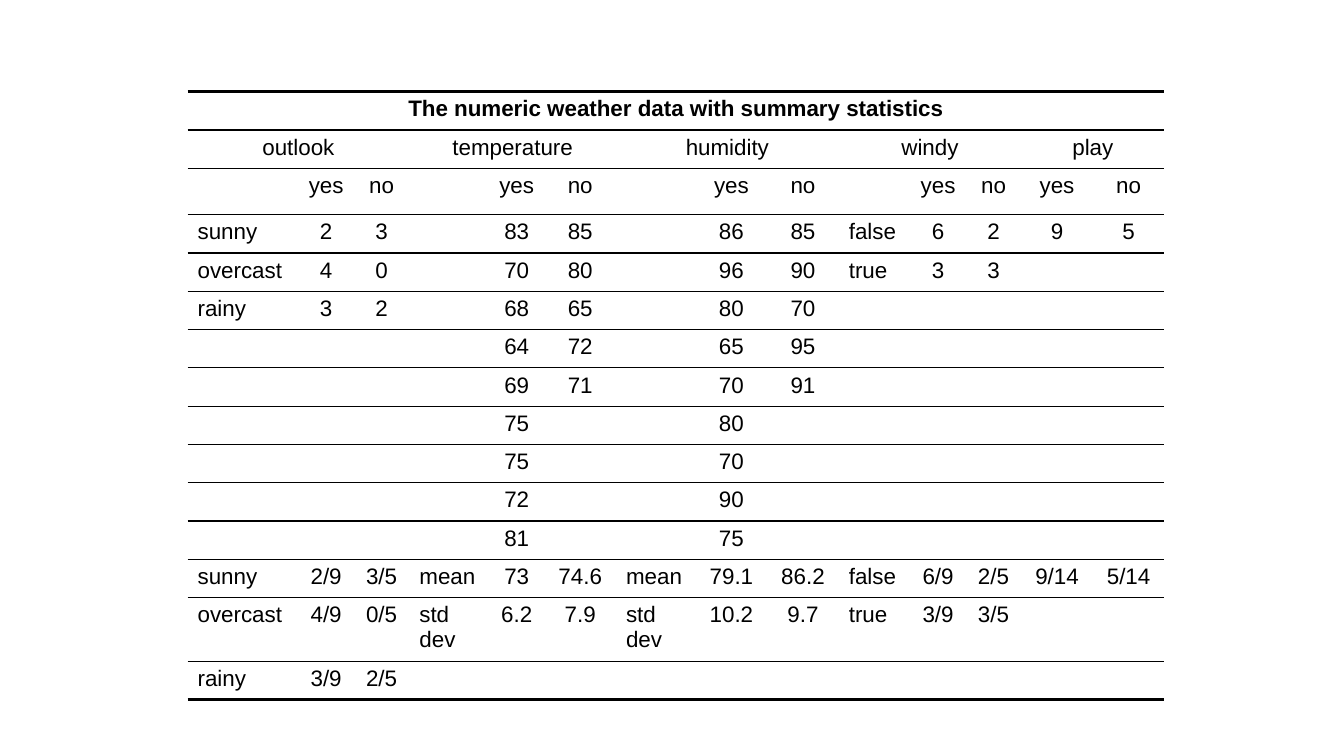
import pptx
import pptx.dml.color
import pptx.enum.text
import pptx.oxml.ns
import pptx.util
from lxml import etree

Inches = pptx.util.Inches
Pt = pptx.util.Pt
ALIGN = pptx.enum.text.PP_ALIGN
qn = pptx.oxml.ns.qn

BLACK = pptx.dml.color.RGBColor(0, 0, 0)
FONT_SIZE = Pt(16)
NO_STYLE_NO_GRID = "{2D5ABB26-0587-4C30-8999-92F81FD0307C}"

TITLE = "The numeric weather data with summary statistics"
ATTRIBUTES = [("outlook", 3), ("temperature", 3), ("humidity", 3), ("windy", 3), ("play", 2)]
ROWS = [
    ["", "yes", "no", "", "yes", "no", "", "yes", "no", "", "yes", "no", "yes", "no"],
    ["sunny", "2", "3", "", "83", "85", "", "86", "85", "false", "6", "2", "9", "5"],
    ["overcast", "4", "0", "", "70", "80", "", "96", "90", "true", "3", "3"],
    ["rainy", "3", "2", "", "68", "65", "", "80", "70"],
    ["", "", "", "", "64", "72", "", "65", "95"],
    ["", "", "", "", "69", "71", "", "70", "91"],
    ["", "", "", "", "75", "", "", "80"],
    ["", "", "", "", "75", "", "", "70"],
    ["", "", "", "", "72", "", "", "90"],
    ["", "", "", "", "81", "", "", "75"],
    ["sunny", "2/9", "3/5", "mean", "73", "74.6", "mean", "79.1", "86.2",
     "false", "6/9", "2/5", "9/14", "5/14"],
    ["overcast", "4/9", "0/5", "std dev", "6.2", "7.9", "std dev", "10.2", "9.7",
     "true", "3/9", "3/5"],
    ["rainy", "3/9", "2/5"],
]
LABEL_COLUMNS = (0, 3, 6, 9)
COLUMN_WIDTHS = [1.1, 0.55, 0.55, 0.79, 0.55, 0.71, 0.79, 0.71, 0.71, 0.71, 0.55, 0.55, 0.71, 0.71]
ROW_HEIGHTS = [0.38] * 2 + [0.46] + [0.38] * 10 + [0.63, 0.38]


def write_cell(cell, text, alignment):
    paragraph = cell.text_frame.paragraphs[0]
    paragraph.alignment = alignment
    if not text:
        end = etree.SubElement(paragraph._p, qn("a:endParaRPr"))
        end.set("sz", str(int(FONT_SIZE.pt * 100)))
        return
    run = paragraph.add_run()
    run.text = text
    font_format = {"name": "Arial", "size": FONT_SIZE, "bold": text == TITLE}
    for attribute, value in font_format.items():
        setattr(run.font, attribute, value)
    run.font.color.rgb = BLACK


def rule_cell(cell, top, bottom):
    cell.fill.background()
    properties = cell._tc.get_or_add_tcPr()
    for position, (tag, width) in enumerate([("a:lnT", top), ("a:lnB", bottom)]):
        line = etree.Element(qn(tag), w=str(Pt(width)))
        fill = etree.SubElement(line, qn("a:solidFill"))
        etree.SubElement(fill, qn("a:srgbClr"), val=str(BLACK))
        properties.insert(position, line)


def main():
    presentation = pptx.Presentation()
    presentation.slide_width = Inches(13.33)
    presentation.slide_height = Inches(7.5)
    slide = presentation.slides.add_slide(presentation.slide_layouts[6])

    row_count, column_count = len(ROW_HEIGHTS), len(COLUMN_WIDTHS)
    frame = slide.shapes.add_table(
        row_count, column_count, Inches(1.86), Inches(0.91),
        Inches(sum(COLUMN_WIDTHS)), Inches(sum(ROW_HEIGHTS)))
    table = frame.table
    table.first_row = False
    table.horz_banding = False
    table._tbl.tblPr.find(qn("a:tableStyleId")).text = NO_STYLE_NO_GRID
    for column, width in zip(table.columns, COLUMN_WIDTHS):
        column.width = Inches(width)
    for row, height in zip(table.rows, ROW_HEIGHTS):
        row.height = Inches(height)

    spanned_rows = [[(TITLE, column_count)], ATTRIBUTES]
    for row_index, headings in enumerate(spanned_rows):
        start = 0
        for text, span in headings:
            cell = table.cell(row_index, start)
            cell.merge(table.cell(row_index, start + span - 1))
            write_cell(cell, text, ALIGN.CENTER)
            start += span

    for row_index, values in enumerate(ROWS, len(spanned_rows)):
        padded = values + [""] * (column_count - len(values))
        for column_index, text in enumerate(padded):
            alignment = ALIGN.LEFT if column_index in LABEL_COLUMNS else ALIGN.CENTER
            write_cell(table.cell(row_index, column_index), text, alignment)

    for row_index, row in enumerate(table.rows):
        top = 2.25 if row_index == 0 else 1
        bottom = 2.25 if row_index == row_count - 1 else 1
        for cell in row.cells:
            rule_cell(cell, top, bottom)

    presentation.save("out.pptx")


if __name__ == "__main__":
    main()
